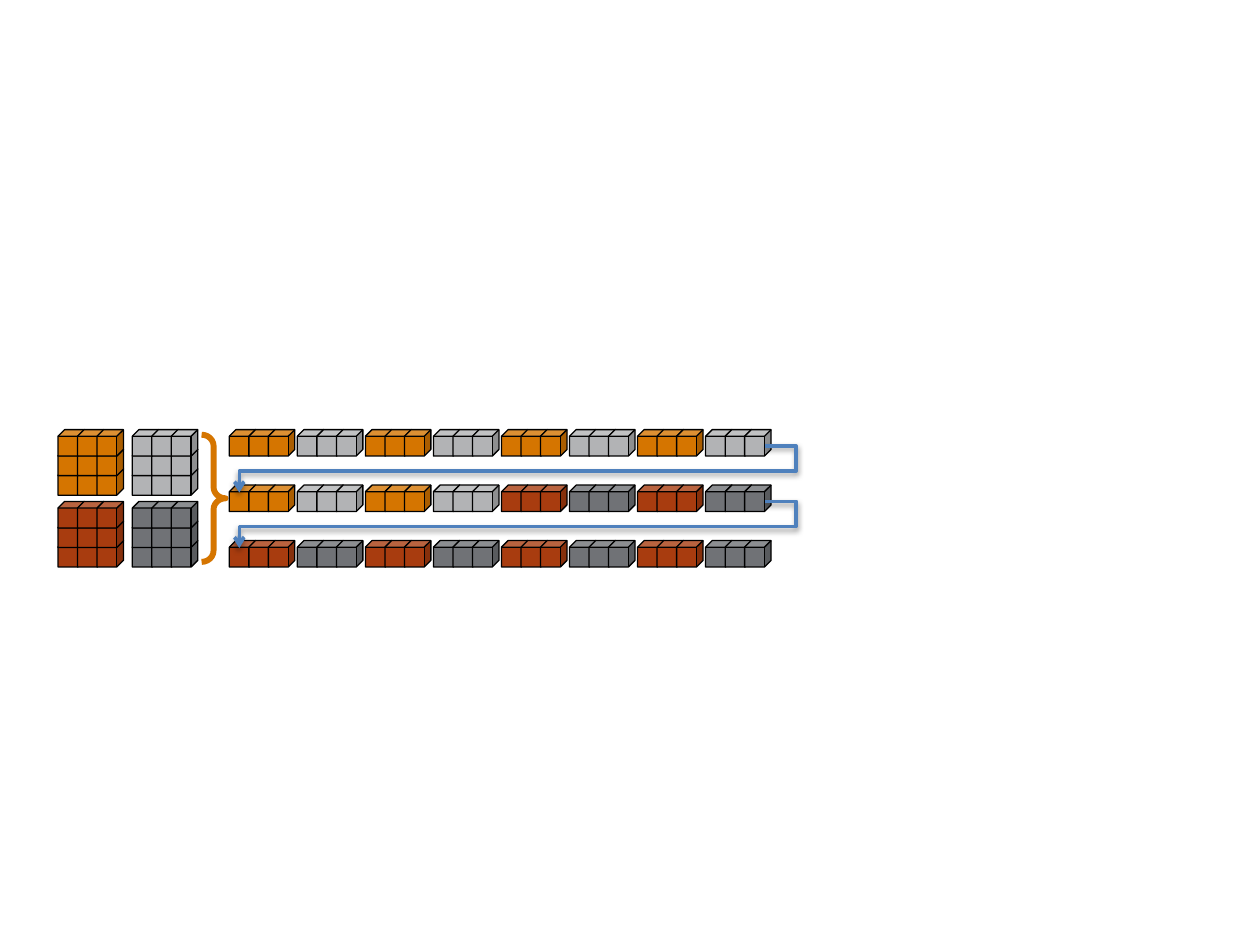
"""Four cube blocks unrolled into three rows of bars."""
from lxml import etree
from pptx import Presentation, util as u
from pptx.dml.color import RGBColor
from pptx.enum import shapes
from pptx.oxml import parse_xml
from pptx.oxml.ns import nsdecls, qn

ORANGE = RGBColor(0xD5, 0x75, 0x00)
SILVER = RGBColor(0xB2, 0xB3, 0xB5)
RUST = RGBColor(0xA8, 0x3C, 0x0F)
SLATE = RGBColor(0x70, 0x72, 0x76)
BLACK = RGBColor(0, 0, 0)
BLUE = RGBColor(0x4F, 0x81, 0xBD)

CUBE = 0.21          # edge of one cube
STEP = 0.155         # distance between neighbouring cubes
SIDE = 3             # cubes along a block or a bar
TOP = 3.41           # top of the first blocks and bars
BLOCK_LEFT, BLOCK_COLUMN, BLOCK_ROW = 0.46, 0.59, 0.57
BAR_LEFT, BAR_COLUMN, BAR_ROW = 1.82, 0.54, 0.44

BLOCKS = [(1, 1, SLATE), (0, 1, RUST), (1, 0, SILVER), (0, 0, ORANGE)]
LIGHT, DARK = [ORANGE, SILVER], [RUST, SLATE]
BAR_ROWS = [LIGHT * 4, LIGHT * 2 + DARK * 2, DARK * 4]


def add_cube(parent, left, top, colour):
    """Add one outlined cube."""
    cube = parent.add_shape(shapes.MSO_SHAPE.CUBE, u.Inches(left), u.Inches(top),
                            u.Inches(CUBE), u.Inches(CUBE))
    cube.shadow.inherit = False
    cube.adjustments[0] = 0.25
    cube.fill.solid()
    cube.fill.fore_color.rgb = colour
    cube.line.color.rgb = BLACK
    cube.line.width = u.Pt(0.75)


def add_bar(parent, left, top, colour):
    """Add a row of cubes, each overlapping the one before it."""
    for column in range(SIDE):
        add_cube(parent, left + column * STEP, top, colour)


def add_block(page, column, row, colour):
    """Add a grouped square of cubes, stacked from the bottom up."""
    group = page.shapes.add_group_shape()
    left = BLOCK_LEFT + column * BLOCK_COLUMN
    top = TOP + row * BLOCK_ROW
    for level in reversed(range(SIDE)):
        add_bar(group.shapes, left, top + level * STEP, colour)


def add_brace(page):
    """Add the brace that leads from the blocks to the bars."""
    brace = page.shapes.add_shape(shapes.MSO_SHAPE.RIGHT_BRACE, u.Inches(1.6),
                                  u.Inches(3.45), u.Inches(0.19), u.Inches(1.01))
    brace.shadow.inherit = False
    brace.adjustments[0] = 0.47
    brace.adjustments[1] = 0.5
    brace.fill.background()
    brace.line.color.rgb = ORANGE
    brace.line.width = u.Pt(3.38)


def add_return_arrow(page, row):
    """Add the bent arrow from the end of a bar row to the next row's start."""
    top = TOP + 0.13 + row * BAR_ROW
    arrow = page.shapes.add_connector(
        shapes.MSO_CONNECTOR.ELBOW, u.Inches(6.07), u.Inches(top),
        u.Inches(1.9), u.Inches(top + 0.37))
    arrow.line.color.rgb = BLUE
    arrow.line.width = u.Pt(2)
    properties = arrow._element.spPr
    geometry = properties.find(qn("a:prstGeom"))
    geometry.set("prst", "bentConnector4")
    guides = geometry.get_or_add_avLst()
    for name, value in (("adj1", -6000), ("adj2", 53600)):
        etree.SubElement(guides, qn("a:gd"), name=name, fmla=f"val {value}")
    etree.SubElement(properties.find(qn("a:ln")), qn("a:tailEnd"), type="arrow")
    properties.append(parse_xml(
        f'<a:effectLst {nsdecls("a")}>'
        f'<a:outerShdw blurRad="{u.Pt(3.1)}" dist="{u.Pt(1.6)}" dir="5400000" '
        'rotWithShape="0"><a:srgbClr val="000000"><a:alpha val="38000"/>'
        '</a:srgbClr></a:outerShdw></a:effectLst>'))


def main():
    """Build the slide and save it."""
    deck = Presentation()
    deck.slide_width, deck.slide_height = u.Inches(10), u.Inches(7.5)
    page = deck.slides.add_slide(deck.slide_layouts[6])
    for column, row, colour in BLOCKS:
        add_block(page, column, row, colour)
    add_brace(page)
    for row, colours in enumerate(BAR_ROWS):
        for column, colour in enumerate(colours):
            add_bar(page.shapes, BAR_LEFT + column * BAR_COLUMN,
                    TOP + row * BAR_ROW, colour)
    for row in range(len(BAR_ROWS) - 1):
        add_return_arrow(page, row)
    deck.save("out.pptx")


main()
